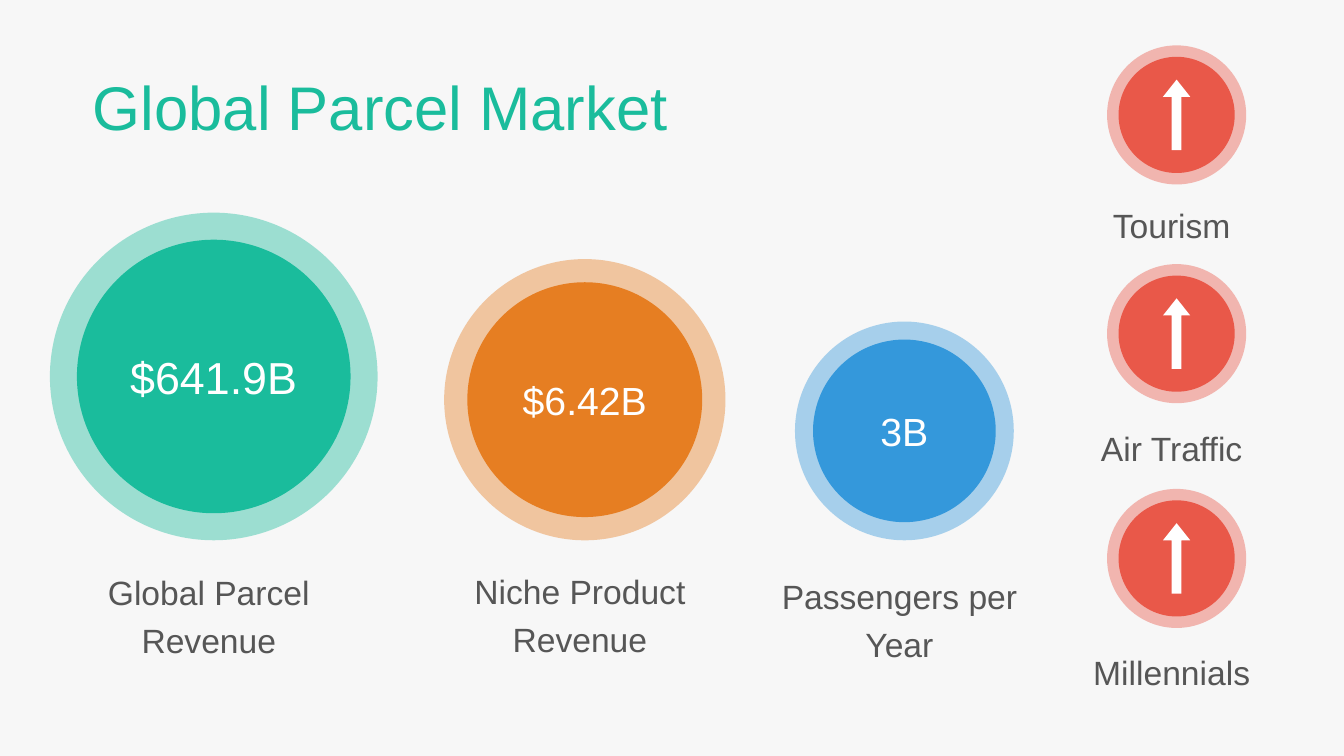
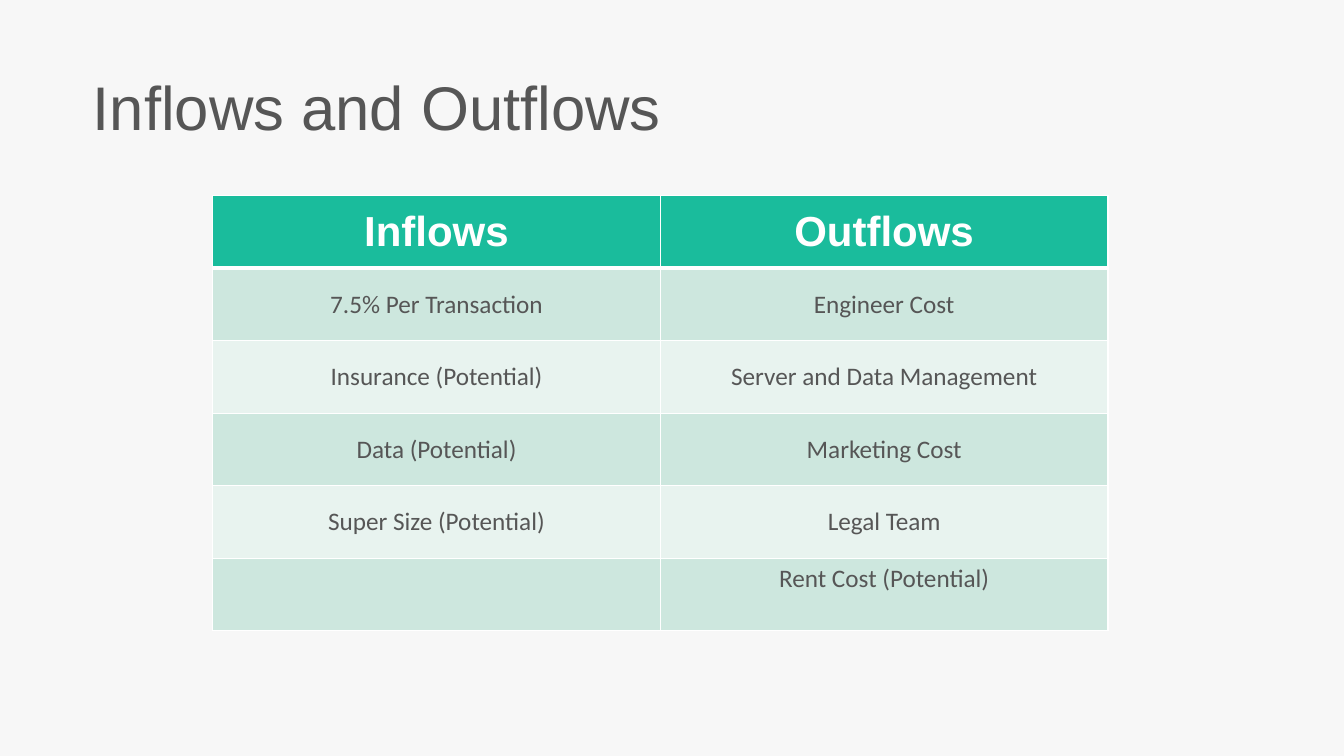
"""Build two slides: the parcel market in circles, and a table of inflows and outflows."""
from dataclasses import dataclass

from lxml.etree import SubElement
from pptx import Presentation
from pptx.dml.color import RGBColor
from pptx.enum.shapes import MSO_SHAPE as Preset
from pptx.enum.text import MSO_ANCHOR as Anchor, PP_ALIGN as Align
from pptx.oxml.ns import qn
from pptx.util import Inches, Pt


@dataclass(frozen=True)
class Theme:
    background: str = "F7F7F7"
    text: str = "565656"
    white: str = "FFFFFF"
    green: str = "1ABC9C"
    orange: str = "E67E22"
    blue: str = "3498DB"
    red: str = "E95849"
    bands: tuple = ("CDE7DE", "E8F3EF")
    font: str = "Arial"
    table_font: str = "Calibri"
    title_size: int = 44
    label_size: int = 24
    header_size: int = 30
    cell_size: int = 18
    halo_opacity: int = 41


THEME = Theme()

MARKET_TITLE = "Global Parcel Market"
MARKET_BASE = 5.36
MARKET_CIRCLES = [
    {"value": "$641.9B", "label": "Global Parcel Revenue", "color": THEME.green, "size": 32,
     "center": 2.12, "diameter": 3.25, "label_top": 5.54, "label_width": 3.27},
    {"value": "$6.42B", "label": "Niche Product Revenue", "color": THEME.orange, "size": 28,
     "center": 5.8, "diameter": 2.79, "label_top": 5.53, "label_width": 2.99},
    {"value": "3B", "label": "Passengers per Year", "color": THEME.blue, "size": 28,
     "center": 8.97, "diameter": 2.17, "label_top": 5.58, "label_width": 2.97},
]

TREND_CENTER, TREND_DIAMETER, TREND_LABEL_WIDTH = 11.67, 1.38, 2.83
TREND_LABEL_TOP, TREND_LABEL_STEP = 1.9, 2.22
TRENDS = [("Tourism", 0.45), ("Air Traffic", 2.62), ("Millennials", 4.85)]
ARROW_WIDTH, ARROW_HEIGHT = 0.27, 0.7
DISC_RATIO = 0.835

FLOWS_TITLE = "Inflows and Outflows"
FLOWS = [
    ("Inflows", "Outflows"),
    ("7.5% Per Transaction", "Engineer Cost"),
    ("Insurance (Potential)", "Server and Data Management"),
    ("Data (Potential)", "Marketing Cost"),
    ("Super Size (Potential)", "Legal Team"),
    ("", "Rent Cost (Potential)"),
]
TABLE_LEFT, TABLE_TOP, COLUMN_WIDTH, ROW_HEIGHT = 2.11, 1.94, 4.44, 0.72


def write_text(frame, text, *, size, color=THEME.text, font=THEME.font, bold=False,
               align=Align.CENTER, line_spacing=None, space_before=0):
    paragraph = frame.paragraphs[0]
    paragraph.alignment = align
    paragraph.space_before = Pt(space_before)
    paragraph.line_spacing = line_spacing
    run = paragraph.add_run()
    run.text = text
    run.font.size = Pt(size)
    run.font.name = font
    run.font.bold = bold
    run.font.color.rgb = RGBColor.from_string(color)


def add_text_box(slide, text, left, top, width, height, **text_format):
    frame = slide.shapes.add_textbox(*map(Inches, (left, top, width, height))).text_frame
    frame.word_wrap = True
    frame.margin_left = 0
    write_text(frame, text, **text_format)


def add_title(slide, text, color):
    add_text_box(slide, text, 0.92, 0.72, 11.01, 0.77, size=THEME.title_size, color=color,
                 align=Align.LEFT, line_spacing=0.9, space_before=10)


def add_label(slide, text, center, top, width, height):
    add_text_box(slide, text, center - width / 2, top, width, height,
                 size=THEME.label_size, line_spacing=1.2)


def add_filled(shapes, preset, center_x, center_y, width, height, color):
    shape = shapes.add_shape(preset, Inches(center_x - width / 2), Inches(center_y - height / 2),
                             Inches(width), Inches(height))
    shape.shadow.inherit = False
    shape.line.fill.background()
    shape.fill.solid()
    shape.fill.fore_color.rgb = RGBColor.from_string(color)
    return shape


def add_haloed_circle(slide, center_x, center_y, diameter, color):
    shapes = slide.shapes.add_group_shape().shapes
    halo = add_filled(shapes, Preset.OVAL, center_x, center_y, diameter, diameter, color)
    halo_color = halo.fill._xPr.find(qn("a:solidFill"))[0]
    SubElement(halo_color, qn("a:alpha"), val=str(THEME.halo_opacity * 1000))
    disc = diameter * DISC_RATIO
    return add_filled(shapes, Preset.OVAL, center_x, center_y, disc, disc, color)


def set_borders(cell, **widths):
    properties = cell._tc.get_or_add_tcPr()
    for side in ("L", "R", "T", "B"):
        line = SubElement(properties, qn(f"a:ln{side}"), w=str(Pt(widths.get(side, 1))))
        fill = SubElement(line, qn("a:solidFill"))
        SubElement(fill, qn("a:srgbClr"), val=THEME.white)


def build_market(slide):
    add_title(slide, MARKET_TITLE, THEME.green)
    for circle in MARKET_CIRCLES:
        center, diameter = circle["center"], circle["diameter"]
        disc = add_haloed_circle(slide, center, MARKET_BASE - diameter / 2, diameter,
                                 circle["color"])
        disc.text_frame.vertical_anchor = Anchor.MIDDLE
        write_text(disc.text_frame, circle["value"], size=circle["size"], color=THEME.white)
        add_label(slide, circle["label"], center, circle["label_top"], circle["label_width"], 1.07)
    for index, (label, top) in enumerate(TRENDS):
        middle = top + TREND_DIAMETER / 2
        add_haloed_circle(slide, TREND_CENTER, middle, TREND_DIAMETER, THEME.red)
        arrow = add_filled(slide.shapes, Preset.UP_ARROW, TREND_CENTER, middle,
                           ARROW_WIDTH, ARROW_HEIGHT, THEME.white)
        arrow.adjustments[0] = 0.36
        arrow.adjustments[1] = 0.63
        add_label(slide, label, TREND_CENTER, TREND_LABEL_TOP + index * TREND_LABEL_STEP,
                  TREND_LABEL_WIDTH, 0.54)


def build_flows(slide):
    add_title(slide, FLOWS_TITLE, THEME.text)
    rows, columns = len(FLOWS), len(FLOWS[0])
    table = slide.shapes.add_table(
        rows, columns, Inches(TABLE_LEFT), Inches(TABLE_TOP),
        Inches(COLUMN_WIDTH * columns), Inches(ROW_HEIGHT * rows)).table
    header_format = {"size": THEME.header_size, "color": THEME.white, "bold": True}
    body_format = {"size": THEME.cell_size, "font": THEME.table_font}
    for row, texts in enumerate(FLOWS):
        is_header = row == 0
        color = THEME.green if is_header else THEME.bands[(row - 1) % 2]
        for column, text in enumerate(texts):
            cell = table.cell(row, column)
            cell.vertical_anchor = Anchor.TOP if row == rows - 1 else Anchor.MIDDLE
            set_borders(cell, B=3 if is_header else 1, T=3 if row == 1 else 1)
            cell.fill.solid()
            cell.fill.fore_color.rgb = RGBColor.from_string(color)
            if text:
                write_text(cell.text_frame, text, **(header_format if is_header else body_format))


def main():
    presentation = Presentation()
    presentation.slide_width = Inches(13.33)
    presentation.slide_height = Inches(7.5)
    background = presentation.slide_master.background.fill
    background.solid()
    background.fore_color.rgb = RGBColor.from_string(THEME.background)
    for build in (build_market, build_flows):
        build(presentation.slides.add_slide(presentation.slide_layouts[6]))
    presentation.save("out.pptx")


if __name__ == "__main__":
    main()
